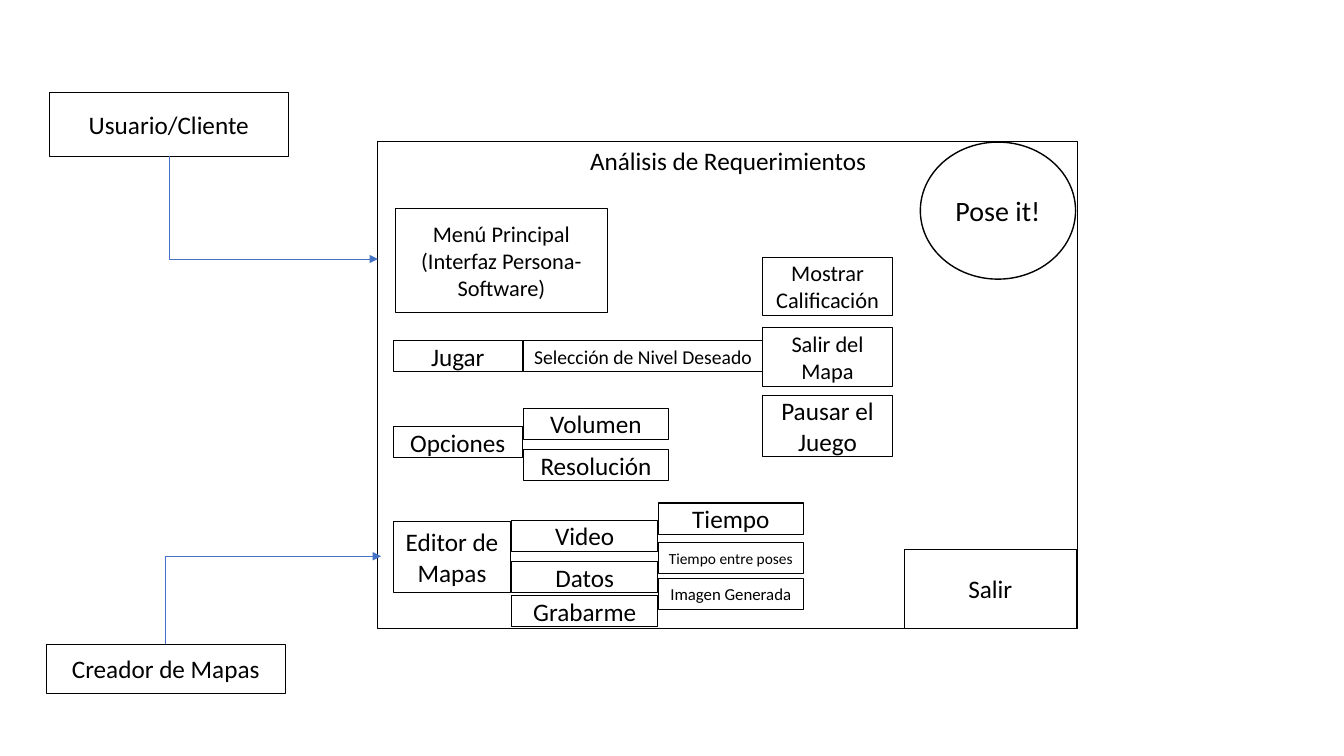
from lxml import etree
from pptx import Presentation, util as u
from pptx.dml.color import RGBColor
from pptx.enum import shapes, text
from pptx.oxml import ns

THEME = {
    "font": "Calibri",
    "ink": RGBColor.from_string("000000"),
    "paper": RGBColor.from_string("FFFFFF"),
    "arrow": RGBColor.from_string("4472C4"),
    "logo": 20, "body": 18, "medium": 16, "small": 14, "note": 12, "tiny": 11,
    "outline": 0.75, "logo_outline": 1, "arrow_width": 0.5,
}

# Content: lengths in points
PANEL = (270, 100.8, 499.7, 348.5)
TITLE = ("Análisis de Requerimientos", (413.3, 100.1, 213.8, 28.8))
LOGO = ("Pose it!", (657.4, 101.5, 110.9, 97.9))

# Text, type size, (left, top, width, height)
SINGLE_BOXES = [
    ("Usuario/Cliente", "body", (35.3, 66.2, 170.6, 45.4)),
    ("Creador de Mapas", "body", (33.1, 460.1, 170.6, 35.3)),
    ("Menú Principal\n(Interfaz Persona-Software)", "medium", (282.2, 149, 151.9, 74.2)),
    ("Editor de Mapas", "body", (280.8, 372.2, 84.2, 51.1)),
    ("Salir", "body", (645.8, 392.4, 123.1, 56.2)),
]

# Left, width, height, then the boxes: text, type size, top
COLUMNS = [
    (280.8, 92.4, 22.3, [("Jugar", "body", 243.4), ("Opciones", "body", 304.6)]),
    (373.7, 171.4, 22.3, [("Selección de Nivel Deseado", "small", 243.4)]),
    (373.7, 104, 22.3, [("Volumen", "body", 291.6), ("Resolución", "body", 321.1)]),
    (545, 92.2, 41.8, [("Mostrar Calificación", "medium", 183.6),
                       ("Salir del Mapa", "medium", 234)]),
    (545, 92.2, 44, [("Pausar el Juego", "body", 282.2)]),
    (365.6, 104.2, 22.3, [("Video", "body", 371.5), ("Datos", "body", 401),
                          ("Grabarme", "body", 425.5)]),
    (470.2, 103.7, 22.3, [("Tiempo", "body", 359.3),
                          ("Tiempo entre poses", "tiny", 387.4),
                          ("Imagen Generada", "note", 413.3)]),
]

# Start and end of each arrow from an actor to the panel
ARROWS = [((121, 111.6), (270, 185)), ((118.1, 460.1), (272.2, 397.4))]

deck = Presentation()
deck.slide_width, deck.slide_height = u.Pt(960), u.Pt(540)
page = deck.slides.add_slide(deck.slide_layouts[6])


def points(values):
    return [u.Pt(value) for value in values]


def write(frame, words, size):
    frame.text = words
    for paragraph in frame.paragraphs:
        paragraph.alignment = text.PP_ALIGN.CENTER
        paragraph.font.name = THEME["font"]
        paragraph.font.size = u.Pt(THEME[size])
        paragraph.font.color.rgb = THEME["ink"]


def add_box(area, words="", size="body", kind=shapes.MSO_SHAPE.RECTANGLE, outline="outline"):
    box = page.shapes.add_shape(kind, *points(area))
    box.shadow.inherit = False
    box.fill.solid()
    box.fill.fore_color.rgb = THEME["paper"]
    box.line.color.rgb = THEME["ink"]
    box.line.width = u.Pt(THEME[outline])
    if words:
        box.text_frame.vertical_anchor = text.MSO_ANCHOR.MIDDLE
        write(box.text_frame, words, size)


def add_arrow(start, end):
    """Draw a one-bend arrow: vertical first, then right.

    The preset bends the other way, so it is laid out turned a quarter.
    """
    run, drop = end[0] - start[0], end[1] - start[1]
    middle_x, middle_y = start[0] + run / 2, start[1] + drop / 2
    half_width = abs(drop) / 2
    half_height = run / 2 if drop > 0 else -run / 2
    arrow = page.shapes.add_connector(
        shapes.MSO_CONNECTOR.ELBOW,
        *points((middle_x + half_width, middle_y - half_height,
                 middle_x - half_width, middle_y + half_height)))
    arrow.line.color.rgb = THEME["arrow"]
    arrow.line.width = u.Pt(THEME["arrow_width"])
    properties = arrow._element.spPr
    properties.find(ns.qn("a:xfrm")).set("rot", str((270 if drop > 0 else 90) * 60000))
    properties.find(ns.qn("a:prstGeom")).set("prst", "bentConnector2")
    etree.SubElement(properties.find(ns.qn("a:ln")), ns.qn("a:tailEnd"), type="triangle")
    etree.SubElement(properties, ns.qn("a:effectLst"))


# Panel with its title and logo circle
add_box(PANEL)
title = page.shapes.add_textbox(*points(TITLE[1]))
title.text_frame.word_wrap = False
write(title.text_frame, TITLE[0], "body")
add_box(LOGO[1], LOGO[0], "logo", shapes.MSO_SHAPE.OVAL, "logo_outline")

# Actors and menu boxes
for words, size, area in SINGLE_BOXES:
    add_box(area, words, size)
for left, width, height, entries in COLUMNS:
    for words, size, top in entries:
        add_box((left, top, width, height), words, size)

# Arrows
for start, end in ARROWS:
    add_arrow(start, end)

deck.save("out.pptx")
